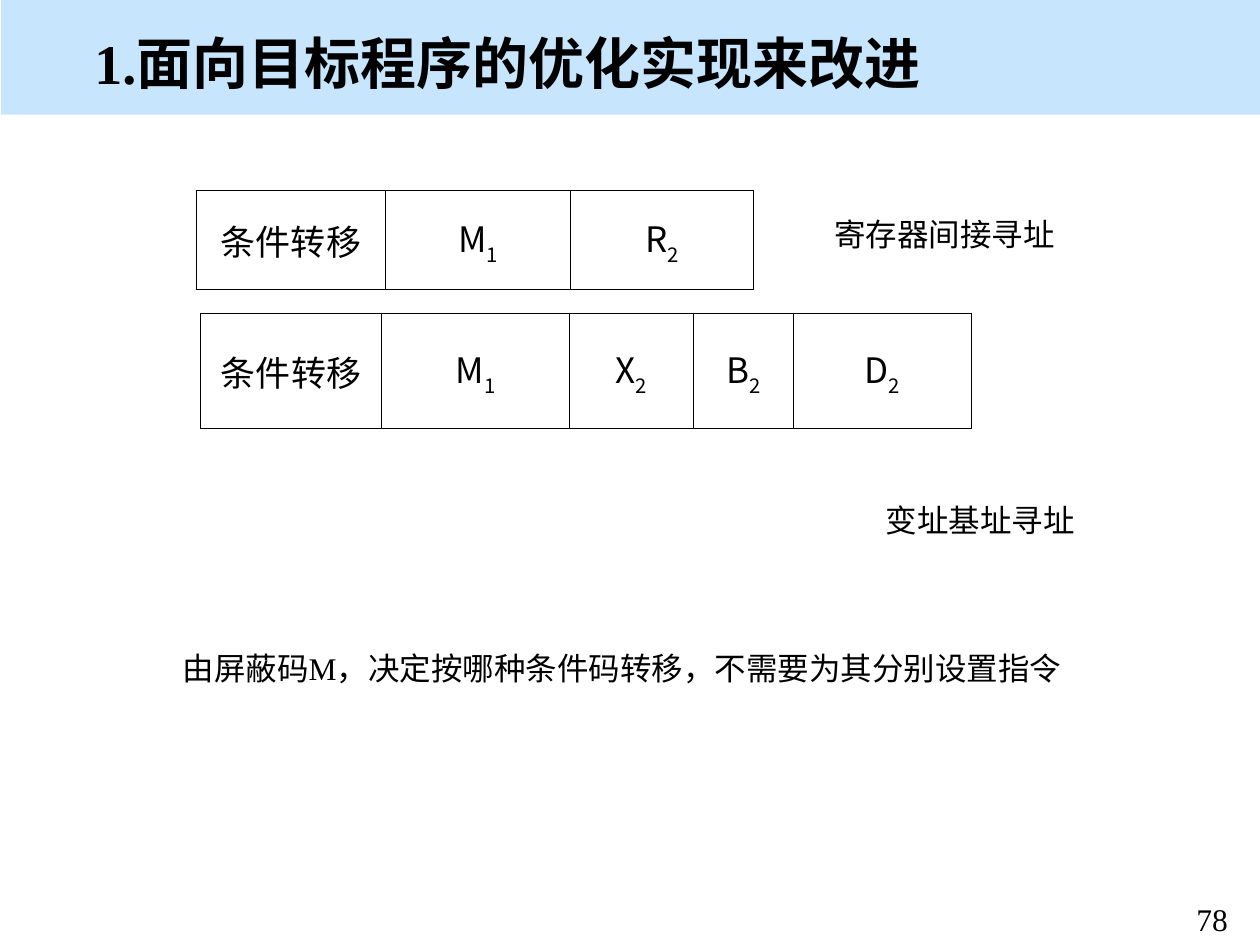
from lxml.etree import SubElement
from pptx import Presentation
from pptx.dml.color import RGBColor
from pptx.enum.shapes import MSO_SHAPE
from pptx.enum.text import MSO_ANCHOR, PP_ALIGN
from pptx.oxml.ns import qn
from pptx.util import Inches, Pt

TITLE = "1.面向目标程序的优化实现来改进"
PAGE = "78"
FORMATS = [
    {"at": (1.56, 1.51), "height": 0.79, "fields": [
        ("条件转移", "", 1.5), ("M", "1", 1.47), ("R", "2", 1.45)]},
    {"at": (1.59, 2.49), "height": 0.91, "fields": [
        ("条件转移", "", 1.44), ("M", "1", 1.49), ("X", "2", 0.98),
        ("B", "2", 0.8), ("D", "2", 1.41)]},
]
NOTES = [
    ("寄存器间接寻址", (6.52, 1.66, 1.95, 0.4)),
    ("变址基址寻址", (6.93, 3.93, 1.7, 0.4)),
    ("由屏蔽码M，决定按哪种条件码转移，不需要为其分别设置指令", (1.23, 5.1, 7.29, 0.4)),
]
THEME = {
    "ink": "000000", "band": "C7E6FD",
    "latin": "Times New Roman", "cjk": "Noto Sans CJK SC",
    "title": 32, "field": 20, "body": 18, "border": 0.45,
}


def add_run(p, text, size=THEME["body"], font=THEME["latin"], bold=False, baseline=0):
    r = p.add_run()
    r.text = text
    r.font.size = Pt(size)
    r.font.name = font
    r.font.bold = bold
    r.font.color.rgb = RGBColor.from_string(THEME["ink"])
    rPr = r._r.get_or_add_rPr()
    SubElement(rPr, qn("a:ea")).set("typeface", THEME["cjk"])
    if baseline:
        rPr.set("baseline", str(baseline * 1000))


def add_text(s, text, at, align=PP_ALIGN.LEFT, anchor=MSO_ANCHOR.TOP, wrap=True, **fmt):
    tf = s.shapes.add_textbox(*map(Inches, at)).text_frame
    tf.word_wrap = wrap
    tf.vertical_anchor = anchor
    p = tf.paragraphs[0]
    p.alignment = align
    add_run(p, text, **fmt)


def add_borders(cell):
    tcPr = cell._tc.get_or_add_tcPr()
    for i, side in enumerate(("a:lnL", "a:lnR", "a:lnT", "a:lnB")):
        ln = tcPr.makeelement(qn(side), {"w": str(Pt(THEME["border"]))})
        fill = SubElement(ln, qn("a:solidFill"))
        SubElement(fill, qn("a:srgbClr")).set("val", THEME["ink"])
        tcPr.insert(i, ln)


def add_format(s, at, height, fields):
    width = sum(w for _, _, w in fields)
    box = map(Inches, (*at, width, height))
    table = s.shapes.add_table(1, len(fields), *box).table
    table.first_row = table.horz_banding = False
    for i, (name, sub, w) in enumerate(fields):
        table.columns[i].width = Inches(w)
        cell = table.cell(0, i)
        cell.fill.background()
        cell.vertical_anchor = MSO_ANCHOR.MIDDLE
        add_borders(cell)
        p = cell.text_frame.paragraphs[0]
        p.alignment = PP_ALIGN.CENTER
        fmt = {"size": THEME["field"], "font": THEME["cjk"]}
        add_run(p, name, **fmt)
        if sub:
            add_run(p, sub, baseline=-30, **fmt)


def main():
    prs = Presentation()
    prs.slide_width, prs.slide_height = Inches(10), Inches(7.5)
    s = prs.slides.add_slide(prs.slide_layouts[6])

    band = s.shapes.add_shape(MSO_SHAPE.RECTANGLE, *map(Inches, (0.01, 0, 9.99, 0.91)))
    band.shadow.inherit = False
    band.fill.solid()
    band.fill.fore_color.rgb = RGBColor.from_string(THEME["band"])
    band.line.fill.background()

    add_text(s, PAGE, (9.27, 7.09, 0.7, 0.33), align=PP_ALIGN.CENTER)
    add_text(s, TITLE, (0.65, 0.16, 9.16, 0.67), anchor=MSO_ANCHOR.MIDDLE,
             size=THEME["title"], bold=True)
    for fmt in FORMATS:
        add_format(s, **fmt)
    for text, at in NOTES:
        add_text(s, text, at, align=PP_ALIGN.RIGHT, wrap=False)

    prs.save("out.pptx")


if __name__ == "__main__":
    main()
